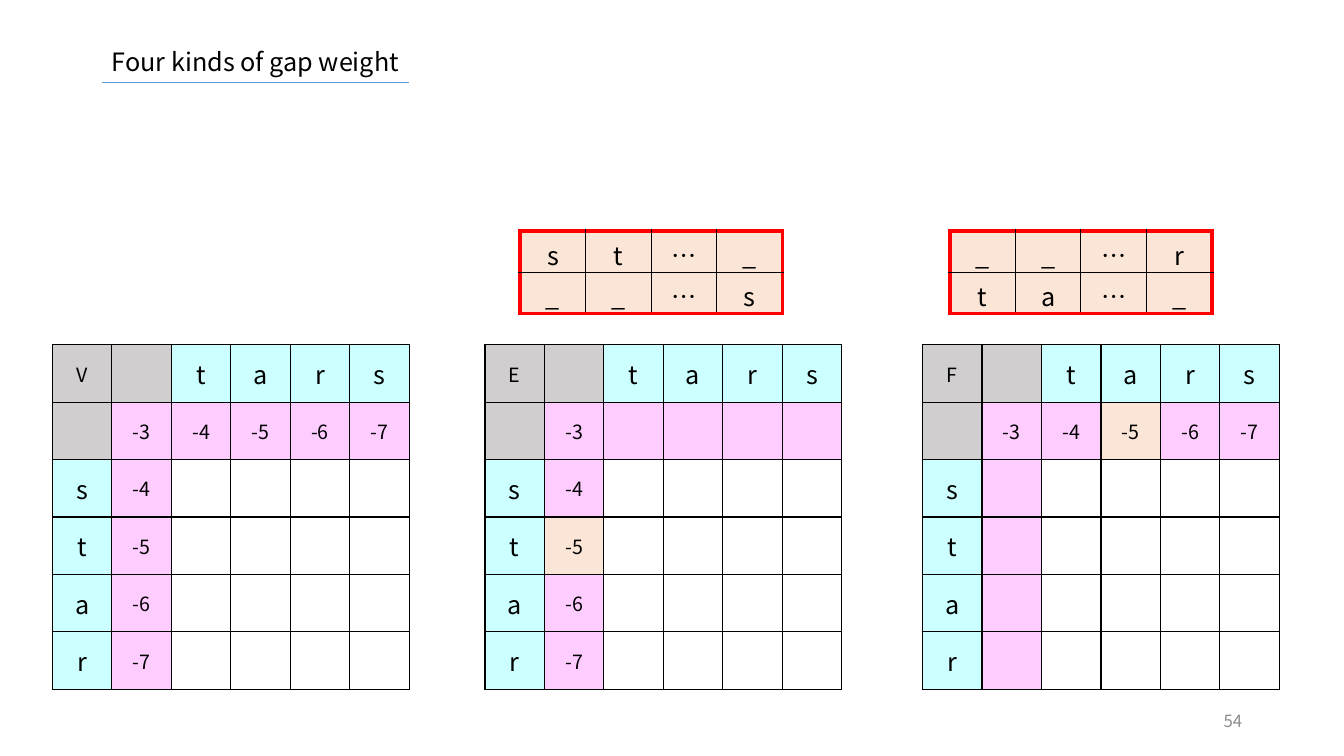
from dataclasses import dataclass

from lxml import etree
from pptx import Presentation
from pptx.dml.color import RGBColor
from pptx.enum.shapes import MSO_CONNECTOR
from pptx.enum.text import MSO_ANCHOR, MSO_AUTO_SIZE, PP_ALIGN
from pptx.oxml.ns import qn
from pptx.slide import Slide
from pptx.table import Table, _Cell
from pptx.text.text import TextFrame
from pptx.util import Inches, Pt

STRAIGHT = MSO_CONNECTOR.STRAIGHT
TOP, MIDDLE = MSO_ANCHOR.TOP, MSO_ANCHOR.MIDDLE
NO_FIT = MSO_AUTO_SIZE.NONE
LEFT, CENTER, RIGHT = PP_ALIGN.LEFT, PP_ALIGN.CENTER, PP_ALIGN.RIGHT


@dataclass(frozen=True)
class Theme:
    font: str = "Noto Sans CJK KR"
    text: str = "000000"
    page_number: str = "8C8C8C"
    rule: str = "5B9BD5"
    corner: str = "D0CECE"
    letter: str = "CCFFFF"
    weight: str = "FFCCFF"
    highlight: str = "FBE5D6"
    blank: str = "FFFFFF"
    border: str = "000000"
    frame: str = "FF0000"
    large: int = 18
    medium: int = 14
    small: int = 12


@dataclass(frozen=True)
class Matrix:
    """A scoring matrix; its first row and first column of weights may be filled."""
    name: str
    left: float
    row_filled: bool = True
    column_filled: bool = True
    highlight: tuple[int, int] | None = None


@dataclass(frozen=True)
class Alignment:
    left: float
    rows: tuple[str, str]


THEME = Theme()
ACROSS, DOWN = "tars", "star"
FIRST_WEIGHT = -3
MATRIX_TOP, MATRIX_COLUMN, MATRIX_ROW = 3.42, 0.59, 0.57
ALIGNMENT_TOP, ALIGNMENT_COLUMN, ALIGNMENT_ROW = 2.29, 0.65, 0.41

MATRICES = (
    Matrix("V", 0.52),
    Matrix("E", 4.81, row_filled=False, highlight=(3, 1)),
    Matrix("F", 9.15, column_filled=False, highlight=(1, 3)),
)
ALIGNMENTS = (
    Alignment(5.16, ("st…_", "__…s")),
    Alignment(9.42, ("__…r", "ta…_")),
)


def write(tf: TextFrame, text: str, size: int, align: PP_ALIGN,
          color: str = THEME.text) -> None:
    tf.text = text
    p = tf.paragraphs[0]
    p.alignment = align
    for r in p.runs:
        r.font.name = THEME.font
        r.font.size = Pt(size)
        r.font.color.rgb = RGBColor.from_string(color)
        ea = etree.SubElement(r.font._element, qn("a:ea"))
        ea.set("typeface", THEME.font)


def set_border(cell: _Cell, side: str, color: str, width: float) -> None:
    """Draw one side of a cell; side is L, R, T or B."""
    ln = etree.SubElement(cell._tc.get_or_add_tcPr(), qn(f"a:ln{side}"), w=str(Pt(width)))
    fill = etree.SubElement(ln, qn("a:solidFill"))
    etree.SubElement(fill, qn("a:srgbClr"), val=color)


def format_cell(cell: _Cell, text: str, size: int, fill: str, framed: str = "") -> None:
    """Write and colour a cell; the sides named in framed get the thick frame."""
    for side in "LRTB":
        if side in framed:
            set_border(cell, side, THEME.frame, 3)
        else:
            set_border(cell, side, THEME.border, 1)
    cell.fill.solid()
    cell.fill.fore_color.rgb = RGBColor.from_string(fill)
    cell.vertical_anchor = MIDDLE
    write(cell.text_frame, text, size, CENTER)


def add_grid(slide: Slide, left: float, top: float, rows: int, columns: int,
             column_width: float, row_height: float) -> Table:
    """Add a table of equal cells without banding."""
    table = slide.shapes.add_table(
        rows, columns, Inches(left), Inches(top),
        Inches(columns * column_width), Inches(rows * row_height)).table
    table.first_row = table.horz_banding = False
    for column in table.columns:
        column.width = Inches(column_width)
    for row in table.rows:
        row.height = Inches(row_height)
    return table


def matrix_cell(matrix: Matrix, row: int, column: int) -> tuple[str, int, str]:
    """Return the text, size and fill of one matrix cell."""
    if row < 2 and column < 2 and row * column == 0:
        return matrix.name if row == column else "", THEME.medium, THEME.corner
    if row == 0:
        return ACROSS[column - 2], THEME.large, THEME.letter
    if column == 0:
        return DOWN[row - 2], THEME.large, THEME.letter
    if row > 1 and column > 1:
        return "", THEME.medium, THEME.blank
    shown = (row == column or (row == 1 and matrix.row_filled)
             or (column == 1 and matrix.column_filled))
    text = str(FIRST_WEIGHT - (row + column - 2)) if shown else ""
    fill = THEME.highlight if (row, column) == matrix.highlight else THEME.weight
    return text, THEME.medium, fill


def add_matrix(slide: Slide, matrix: Matrix) -> None:
    rows, columns = len(DOWN) + 2, len(ACROSS) + 2
    table = add_grid(slide, matrix.left, MATRIX_TOP, rows, columns,
                     MATRIX_COLUMN, MATRIX_ROW)
    for row in range(rows):
        for column in range(columns):
            cell = table.cell(row, column)
            cell.margin_left = cell.margin_right = Inches(0.07)
            cell.margin_top = cell.margin_bottom = Inches(0.04)
            format_cell(cell, *matrix_cell(matrix, row, column))


def add_alignment(slide: Slide, alignment: Alignment) -> None:
    rows, columns = len(alignment.rows), len(alignment.rows[0])
    table = add_grid(slide, alignment.left, ALIGNMENT_TOP, rows, columns,
                     ALIGNMENT_COLUMN, ALIGNMENT_ROW)
    for row, letters in enumerate(alignment.rows):
        for column, letter in enumerate(letters):
            edges = {"L": column == 0, "R": column == columns - 1,
                     "T": row == 0, "B": row == rows - 1}
            framed = "".join(side for side, outer in edges.items() if outer)
            cell = table.cell(row, column)
            cell.margin_bottom = 0
            format_cell(cell, letter, THEME.large, THEME.highlight, framed)


def add_title(slide: Slide, text: str) -> None:
    sp = slide.shapes.title
    sp.left, sp.top, sp.width, sp.height = map(Inches, (1.01, 0.41, 7.34, 0.4))
    tf = sp.text_frame
    tf.auto_size = NO_FIT
    tf.vertical_anchor = TOP
    write(tf, text, THEME.large, LEFT)

    rule = slide.shapes.add_connector(
        STRAIGHT, Inches(1.01), Inches(0.82), Inches(4.06), Inches(0.82))
    rule.line.color.rgb = RGBColor.from_string(THEME.rule)
    rule.line.width = Pt(0.5)
    etree.SubElement(rule._element.spPr, qn("a:effectLst"))


def add_page_number(slide: Slide, number: int) -> None:
    sp = slide.shapes.add_textbox(Inches(9.42), Inches(6.95), Inches(3), Inches(0.4))
    tf = sp.text_frame
    tf.word_wrap = True
    tf.vertical_anchor = MIDDLE
    write(tf, str(number), THEME.small, RIGHT, THEME.page_number)


def main() -> None:
    prs = Presentation()
    prs.slide_width, prs.slide_height = Inches(13.33), Inches(7.5)
    slide = prs.slides.add_slide(prs.slide_layouts.get_by_name("Title Only"))
    add_page_number(slide, 54)
    add_title(slide, "Four kinds of gap weight")
    for matrix in MATRICES:
        add_matrix(slide, matrix)
    for alignment in ALIGNMENTS:
        add_alignment(slide, alignment)
    prs.save("out.pptx")


if __name__ == "__main__":
    main()
